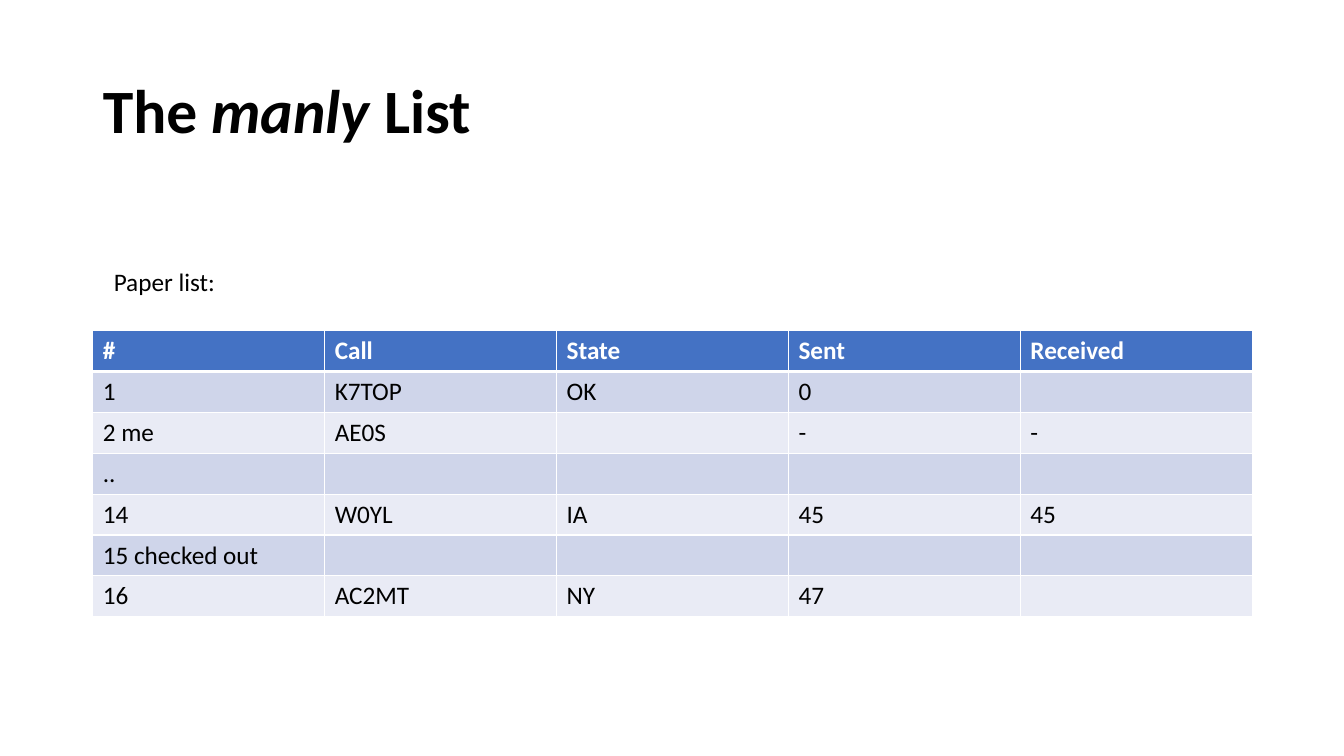
"""Build the slide that shows the paper list as a table."""
from dataclasses import dataclass

from lxml.etree import SubElement
from pptx import Presentation
from pptx.dml.color import RGBColor
from pptx.enum.text import MSO_ANCHOR, MSO_AUTO_SIZE, PP_ALIGN
from pptx.oxml.ns import qn
from pptx.slide import Slide
from pptx.table import _Cell
from pptx.text.text import _Paragraph
from pptx.util import Inches, Pt


@dataclass(frozen=True)
class Theme:
    font: str = "Calibri"
    title_size: int = 44
    body_size: int = 18
    text: str = "000000"
    header_text: str = "FFFFFF"
    header_fill: str = "4472C4"
    bands: tuple[str, str] = ("CFD5EA", "E9EBF5")
    border: str = "FFFFFF"
    thin: int = 1
    thick: int = 3


@dataclass(frozen=True)
class Box:
    left: float
    top: float
    width: float
    height: float

    def lengths(self) -> tuple[int, int, int, int]:
        return Inches(self.left), Inches(self.top), Inches(self.width), Inches(self.height)


@dataclass(frozen=True)
class Entry:
    number: str
    call: str = ""
    state: str = ""
    sent: str = ""
    received: str = ""

    def values(self) -> tuple[str, ...]:
        return self.number, self.call, self.state, self.sent, self.received


THEME = Theme()
TITLE_BOX = Box(0.92, 0.4, 11.5, 1.45)
CAPTION_BOX = Box(1.03, 2.59, 1.22, 0.4)
TABLE_BOX = Box(0.92, 3.28, 11.5, 2.84)
TITLE_RUNS = (("The ", False), ("manly", True), (" List", False))
ENTRIES = (
    Entry("#", "Call", "State", "Sent", "Received"),
    Entry("1", "K7TOP", "OK", "0"),
    Entry("2 me", "AE0S", "", "-", "-"),
    Entry(".."),
    Entry("14", "W0YL", "IA", "45", "45"),
    Entry("15 checked out"),
    Entry("16", "AC2MT", "NY", "47"),
)


def style_paragraph(paragraph: _Paragraph, size: int, color: str, bold: bool = False) -> None:
    font = paragraph.font
    font.name = THEME.font
    font.size = Pt(size)
    font.bold = bold
    font.color.rgb = RGBColor.from_string(color)


def add_title(slide: Slide) -> None:
    title = slide.shapes.title
    title.left, title.top, title.width, title.height = TITLE_BOX.lengths()
    frame = title.text_frame
    frame.auto_size = MSO_AUTO_SIZE.NONE
    frame.vertical_anchor = MSO_ANCHOR.MIDDLE
    paragraph = frame.paragraphs[0]
    paragraph.alignment = PP_ALIGN.LEFT
    paragraph.line_spacing = 0.9
    for text, italic in TITLE_RUNS:
        run = paragraph.add_run()
        run.text = text
        run.font.italic = italic
    style_paragraph(paragraph, THEME.title_size, THEME.text, bold=True)


def add_caption(slide: Slide) -> None:
    frame = slide.shapes.add_textbox(*CAPTION_BOX.lengths()).text_frame
    frame.word_wrap = False
    frame.auto_size = MSO_AUTO_SIZE.SHAPE_TO_FIT_TEXT
    frame.text = "Paper list:"
    style_paragraph(frame.paragraphs[0], THEME.body_size, THEME.text)


def set_borders(cell: _Cell, top: int, bottom: int) -> None:
    properties = cell._tc.get_or_add_tcPr()
    widths = {"a:lnL": THEME.thin, "a:lnR": THEME.thin, "a:lnT": top, "a:lnB": bottom}
    for position, (tag, width) in enumerate(widths.items()):
        line = SubElement(properties, qn(tag), w=str(Pt(width)))
        fill = SubElement(line, qn("a:solidFill"))
        SubElement(fill, qn("a:srgbClr"), val=THEME.border)
        properties.insert(position, line)


def add_list_table(slide: Slide) -> None:
    column_count = len(ENTRIES[0].values())
    table = slide.shapes.add_table(len(ENTRIES), column_count, *TABLE_BOX.lengths()).table
    for column in table.columns:
        column.width = Inches(TABLE_BOX.width / column_count)
    for row_index, entry in enumerate(ENTRIES):
        table.rows[row_index].height = Inches(TABLE_BOX.height / len(ENTRIES))
        header = row_index == 0
        fill = THEME.header_fill if header else THEME.bands[(row_index - 1) % 2]
        color = THEME.header_text if header else THEME.text
        top = THEME.thick if row_index == 1 else THEME.thin
        bottom = THEME.thick if header else THEME.thin
        for column_index, value in enumerate(entry.values()):
            cell = table.cell(row_index, column_index)
            if value:
                cell.text = value
            style_paragraph(cell.text_frame.paragraphs[0], THEME.body_size, color, header)
            cell.fill.solid()
            cell.fill.fore_color.rgb = RGBColor.from_string(fill)
            set_borders(cell, top, bottom)


def main() -> None:
    presentation = Presentation()
    presentation.slide_width = Inches(13.33)
    presentation.slide_height = Inches(7.5)
    slide = presentation.slides.add_slide(presentation.slide_layouts[5])
    add_title(slide)
    add_list_table(slide)
    add_caption(slide)
    presentation.save("out.pptx")


if __name__ == "__main__":
    main()
